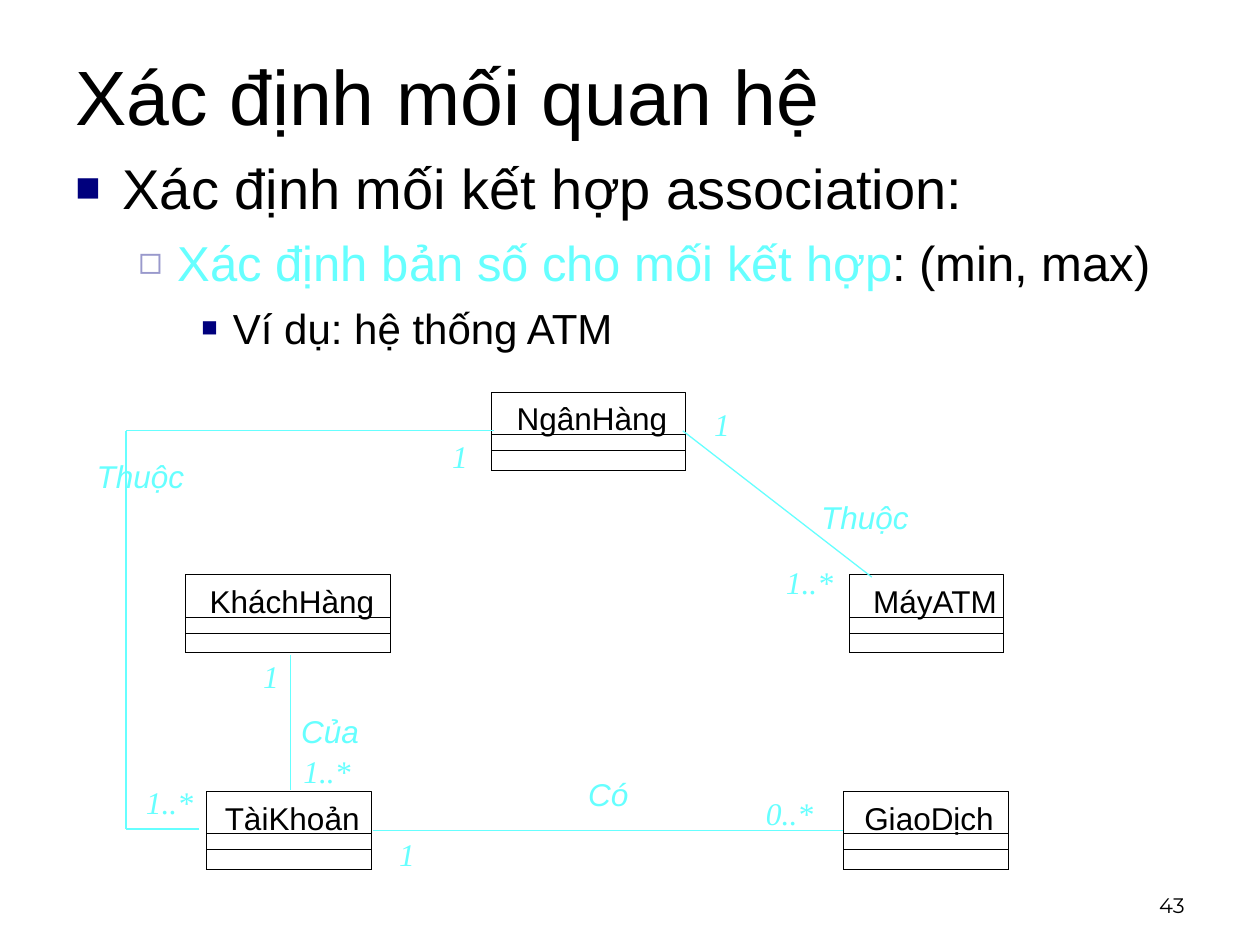
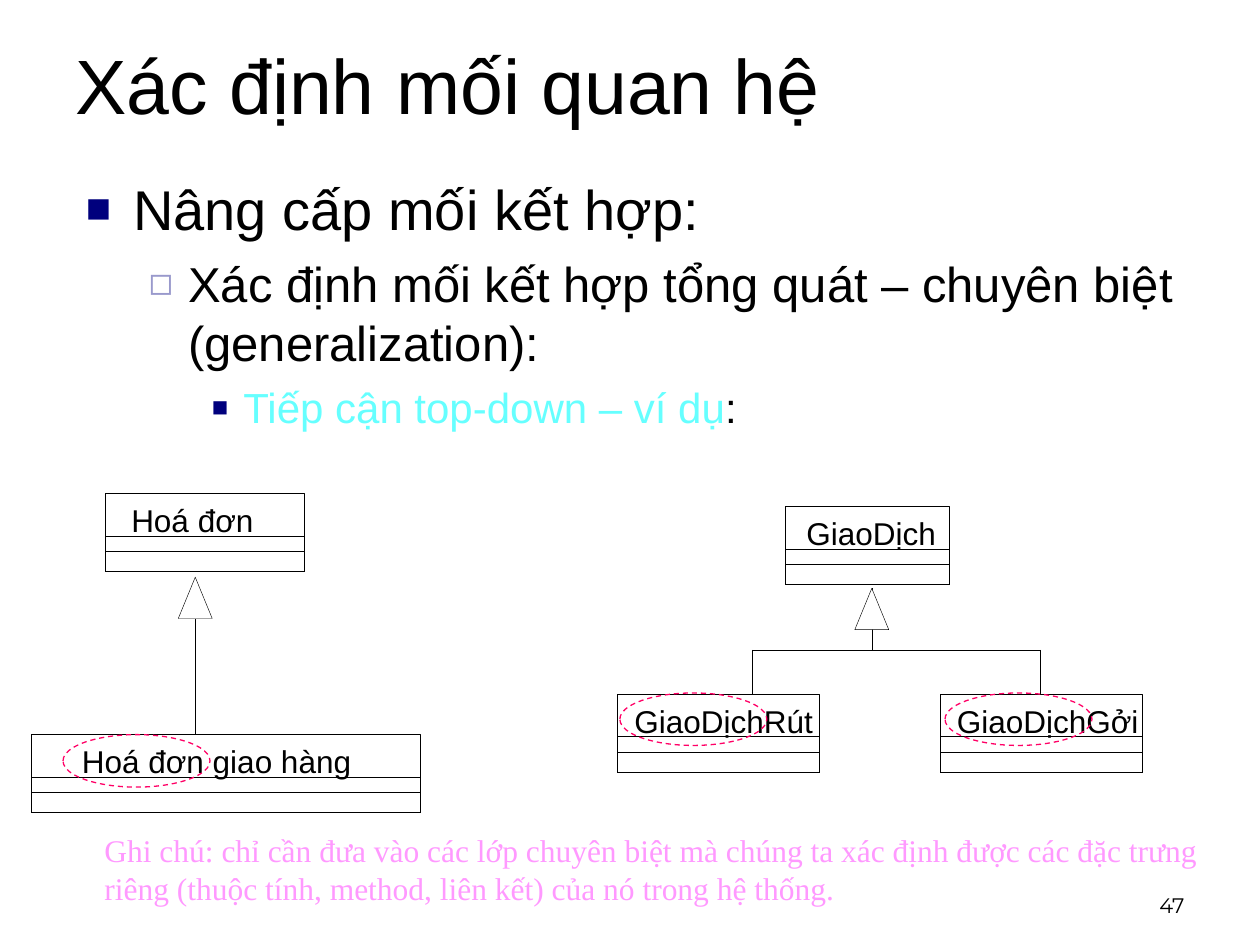
from lxml import etree
from pptx import Presentation
from pptx.dml.color import RGBColor
from pptx.enum.dml import MSO_LINE_DASH_STYLE as DASH
from pptx.enum.shapes import MSO_CONNECTOR as CONN, MSO_SHAPE as SHAPE
from pptx.enum.text import MSO_ANCHOR as ANCHOR, PP_ALIGN as ALIGN
from pptx.oxml.ns import qn
from pptx.util import Pt

BLACK, WHITE, CYAN, PINK, RED = "000000", "FFFFFF", "66FFFF", "FF99FF", "FF0066"
SANS, SERIF, FOOTER = "Arial", "Times New Roman", "Montserrat"
HAIR, THIN = 0.25, 0.75
TITLE = "Xác định mối quan hệ"

# text size, left margin, hanging indent, space before, bullet, its colour and size in %
LEVELS = [
    (32, 27, 27, 0, "■", "00007D", 75),
    (28, 58.5, 22.5, 7, "◻", "9999CC", 80),
    (24, 90, 18, 6, "■", "00007D", 65),
]


def rgb(color):
    return RGBColor.from_string(color)


def style(run, size, color=BLACK, font=SANS, italic=False):
    run.font.size = Pt(size)
    run.font.name = font
    run.font.color.rgb = rgb(color)
    run.font.italic = italic


def add_frame(slide, left, top, width, height, inset=True):
    tf = slide.shapes.add_textbox(Pt(left), Pt(top), Pt(width), Pt(height)).text_frame
    tf.word_wrap = True
    if not inset:
        tf.margin_left = tf.margin_top = tf.margin_right = tf.margin_bottom = 0
    return tf


def add_text(slide, box, text, size=18, color=BLACK, font=SANS, italic=False, inset=True):
    tf = add_frame(slide, *box, inset)
    tf.text = text
    style(tf.paragraphs[0].runs[0], size, color, font, italic)
    return tf


def add_outline(slide, kind, left, top, width, height, color=BLACK, weight=HAIR, fill=None):
    sp = slide.shapes.add_shape(kind, Pt(left), Pt(top), Pt(width), Pt(height))
    sp.shadow.inherit = False
    if fill:
        sp.fill.solid()
        sp.fill.fore_color.rgb = rgb(fill)
    else:
        sp.fill.background()
    sp.line.color.rgb = rgb(color)
    sp.line.width = Pt(weight)
    return sp


def add_path(slide, left, top, points, color=BLACK, weight=HAIR):
    """Join the points, relative to left and top, with straight connectors."""
    for (x1, y1), (x2, y2) in zip(points, points[1:]):
        line = slide.shapes.add_connector(
            CONN.STRAIGHT, Pt(left + x1), Pt(top + y1), Pt(left + x2), Pt(top + y2))
        line.line.color.rgb = rgb(color)
        line.line.width = Pt(weight)
        etree.SubElement(line._element.spPr, qn("a:effectLst"))


def add_class(slide, left, top, width, name, indent):
    """UML class: a name above two empty compartments."""
    height = 44.6
    add_outline(slide, SHAPE.RECTANGLE, left, top, width, height)
    add_text(slide, (left + indent, top + 4.3, width - indent, 21.6), name, inset=False)
    for offset in (24.2, 33.2):
        add_outline(slide, SHAPE.RECTANGLE, left, top + offset, width, height - offset)


def add_generalization_head(slide, x, y):
    """Hollow triangle with its tip at x, y."""
    add_outline(slide, SHAPE.ISOSCELES_TRIANGLE, x - 9.7, y, 19.4, 23.6, fill=WHITE)


def add_highlight(slide, left, top):
    sp = add_outline(slide, SHAPE.OVAL, left, top, 84, 30, RED, THIN)
    sp.line.dash_style = DASH.DASH


def add_bullet(p, margin, hanging, char, color, percent):
    pPr = p._p.get_or_add_pPr()
    pPr.set("marL", str(Pt(margin)))
    pPr.set("indent", str(-Pt(hanging)))
    clr = etree.SubElement(pPr, qn("a:buClr"))
    etree.SubElement(clr, qn("a:srgbClr")).set("val", color)
    etree.SubElement(pPr, qn("a:buSzPct")).set("val", str(percent * 1000))
    etree.SubElement(pPr, qn("a:buFont")).set("typeface", SANS)
    etree.SubElement(pPr, qn("a:buChar")).set("char", char)


def add_outline_text(slide, left, top, height, items):
    """Bulleted text, one level deeper each item; an item is a list of (text, colour)."""
    tf = add_frame(slide, left, top, 648, height)
    for i, (runs, level) in enumerate(zip(items, LEVELS)):
        size, margin, hanging, before, *bullet = level
        p = tf.add_paragraph() if i else tf.paragraphs[0]
        add_bullet(p, margin, hanging, *bullet)
        if before:
            p.space_before = Pt(before)
        for text, color in runs:
            r = p.add_run()
            r.text = text
            style(r, size, color)


def add_slide(prs, title_top, number):
    slide = prs.slides.add_slide(prs.slide_layouts[6])
    title = add_text(slide, (36, title_top, 648, 108), TITLE, 44)
    title.vertical_anchor = ANCHOR.MIDDLE
    footer = add_text(slide, (516, 492, 168, 36), number, 12, font=FOOTER)
    footer.vertical_anchor = ANCHOR.BOTTOM
    footer.paragraphs[0].alignment = ALIGN.RIGHT
    return slide


def atm_diagram(slide, left, top):
    upper, lower = 104.4, 228.2
    classes = [
        ("MáyATM", 437.3, upper, 87.8, 13.7),
        ("NgânHàng", 232.8, 0, 110.9, 14.4),
        ("KháchHàng", 57.8, upper, 117.4, 14),
        ("TàiKhoản", 70.1, lower, 94.3, 10.4),
        ("GiaoDịch", 433.7, lower, 94.3, 12.2),
    ]
    for name, x, y, width, indent in classes:
        add_class(slide, left + x, top + y, width, name, indent)

    paths = [
        (HAIR, [(165, 250.5), (433.7, 250.5)]),
        (HAIR, [(117.6, 150.4), (117.6, 227.4)]),
        (THIN, [(342.2, 22.2), (450.2, 105.8)]),
        (THIN, [(65.8, 249.8), (24, 249.8), (24, 22.2), (234.2, 22.2)]),
    ]
    for weight, points in paths:
        add_path(slide, left, top, points, CYAN, weight)

    role_names = [("Có", 281, 215.2), ("Của", 117, 179.2),
                  ("Thuộc", 414.2, 56.8), ("Thuộc", 0.2, 33.8)]
    multiplicities = [
        ("0..*", 382.6, 226), ("1", 173, 249.8), ("1..*", 118.3, 202.2),
        ("1", 95.3, 148.2), ("1", 353, 4.2), ("1..*", 394, 94.2),
        ("1", 203.3, 22.2), ("1..*", 28.3, 220.2),
    ]
    for font, labels in ((SANS, role_names), (SERIF, multiplicities)):
        for text, x, y in labels:
            add_text(slide, (left + x, top + y, 72, 28.8), text,
                     color=CYAN, font=font, italic=True)


def invoice_diagram(slide, left, top):
    axis, child_top = 93.6, 137.8
    add_class(slide, left + 42, top, 113.8, "Hoá đơn", 15)
    add_class(slide, left, top + child_top, 222, "Hoá đơn giao hàng", 28.8)
    add_generalization_head(slide, left + axis, top + 47.8)
    add_path(slide, left, top, [(axis, 72), (axis, child_top)], weight=THIN)
    add_highlight(slide, left + 18, top + child_top)


def transaction_diagram(slide, left, top):
    axis, bar, child_top = 145.4, 82, 107.3
    children = [("GiaoDịchRút", 0, 77, 1.4), ("GiaoDịchGởi", 184.3, 241.6, 2.9)]
    add_class(slide, left + 95.8, top, 93.6, "GiaoDịch", 12.2)
    add_path(slide, left, top, [(axis, 46.8), (axis, bar)])
    add_path(slide, left, top, [(77, bar), (241.6, bar)])
    add_generalization_head(slide, left + axis, top + 46.8)
    for name, x, branch, shift in children:
        add_class(slide, left + x, top + child_top, 115.6, name, 9.7)
        add_path(slide, left, top, [(branch, bar), (branch, child_top)])
        add_highlight(slide, left + x + shift, top + child_top - 0.7)


def association_slide(prs):
    slide = add_slide(prs, 0, "43")
    add_outline_text(slide, 36, 84, 306, [
        [("Xác định mối kết hợp association:", BLACK)],
        [("Xác định bản số cho mối kết hợp", CYAN), (": (min, max)", BLACK)],
        [("Ví dụ: hệ thống ATM", BLACK)],
    ])
    atm_diagram(slide, 48, 224)


def generalization_slide(prs):
    slide = add_slide(prs, -6, "47")
    add_outline_text(slide, 42, 96, 356, [
        [("Nâng cấp mối kết hợp:", BLACK)],
        [("Xác định mối kết hợp tổng quát – chuyên biệt (generalization):", BLACK)],
        [("Tiếp cận top-down – ví dụ", CYAN), (":", BLACK)],
    ])
    invoice_diagram(slide, 18, 282)
    transaction_diagram(slide, 352.8, 289.4)
    add_text(slide, (52.6, 471.6, 643, 50.4),
             "Ghi chú: chỉ cần đưa vào các lớp chuyên biệt mà chúng ta xác định được các "
             "đặc trưng riêng (thuộc tính, method, liên kết) của nó trong hệ thống.",
             color=PINK, font=SERIF)


def main():
    prs = Presentation()
    prs.slide_width, prs.slide_height = Pt(720), Pt(540)
    association_slide(prs)
    generalization_slide(prs)
    prs.save("out.pptx")


if __name__ == "__main__":
    main()
